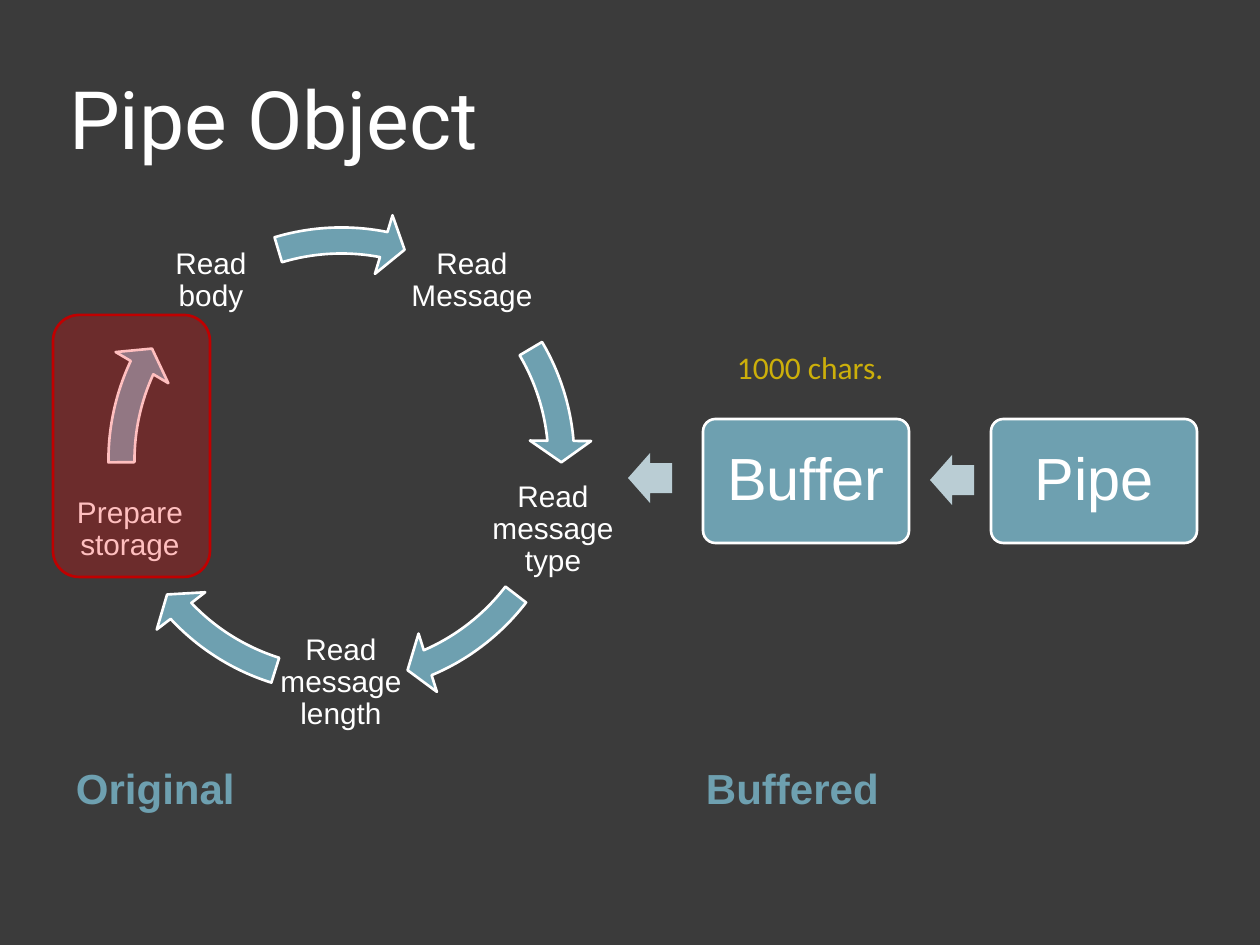
from dataclasses import dataclass

from lxml.etree import SubElement
from pptx import Presentation
from pptx.dml.color import RGBColor
from pptx.enum.shapes import MSO_SHAPE
from pptx.enum.text import MSO_ANCHOR, MSO_AUTO_SIZE, PP_ALIGN
from pptx.oxml.ns import qn
from pptx.util import Inches, Pt

PX_PER_INCH = 126


def px(n):
    return Inches(n / PX_PER_INCH)


@dataclass(frozen=True)
class Theme:
    background: str = "3B3B3B"
    text: str = "FFFFFF"
    accent: str = "6EA0B0"
    pale: str = "BACDD4"
    note: str = "CCAF0A"
    alert: str = "FF0000"
    alert_line: str = "C00000"
    title_font: str = "Roboto"
    body_font: str = "Arial"
    note_font: str = "Calibri"
    title_size: int = 46
    box_size: int = 34
    heading_size: int = 24
    note_size: int = 18
    label_size: int = 17
    line_width: float = 1.5


class SlideBuilder:
    def __init__(self, slide, theme):
        self.s = slide
        self.theme = theme
        fill = slide.background.fill
        fill.solid()
        fill.fore_color.rgb = RGBColor.from_string(theme.background)

    def set_text(self, sp, text, size, color, font, inset, align=PP_ALIGN.LEFT,
                 anchor=MSO_ANCHOR.MIDDLE, bold=False, wrap=True):
        tf = sp.text_frame
        tf.text = text
        tf.word_wrap = wrap
        tf.auto_size = MSO_AUTO_SIZE.NONE if wrap else MSO_AUTO_SIZE.SHAPE_TO_FIT_TEXT
        tf.vertical_anchor = anchor
        tf.margin_left = tf.margin_right = px(inset[0])
        tf.margin_top = tf.margin_bottom = px(inset[1])
        p = tf.paragraphs[0]
        p.alignment = align
        p.font.size = Pt(size)
        p.font.name = font
        p.font.bold = bold
        p.font.color.rgb = RGBColor.from_string(color)
        return p

    def placeholder(self, idx, box):
        sp = next(ph for ph in self.s.placeholders if ph.placeholder_format.idx == idx)
        sp.left, sp.top, sp.width, sp.height = map(px, box)
        return sp

    def title(self, text, box):
        t = self.theme
        self.set_text(self.placeholder(0, box), text, t.title_size, t.text,
                      t.title_font, (6, 6))

    def heading(self, idx, text, box):
        t = self.theme
        p = self.set_text(self.placeholder(idx, box), text, t.heading_size, t.accent,
                          t.body_font, (13, 6), anchor=MSO_ANCHOR.TOP, bold=True)
        p.space_before = Pt(5)

    def remove_empty_placeholders(self):
        for sp in list(self.s.placeholders):
            if not sp.text_frame.text:
                sp.element.getparent().remove(sp.element)

    def shape(self, kind, box, fill, line=None, adjustments=()):
        sp = self.s.shapes.add_shape(kind, *map(px, box))
        sp.shadow.inherit = False
        sp.fill.solid()
        sp.fill.fore_color.rgb = RGBColor.from_string(fill)
        if line:
            sp.line.color.rgb = RGBColor.from_string(line)
            sp.line.width = Pt(self.theme.line_width)
        else:
            sp.line.fill.background()
        for i, value in enumerate(adjustments):
            sp.adjustments[i] = value
        return sp

    def label(self, text, box):
        t = self.theme
        sp = self.s.shapes.add_textbox(*map(px, box))
        p = self.set_text(sp, text, t.label_size, t.text, t.body_font, (3, 3),
                          PP_ALIGN.CENTER)
        p.line_spacing = 0.9

    def cycle_arrow(self, box, tail, head):
        """Draw an arc arrow; angles are degrees clockwise from the right."""
        unit = 0.6  # adjustment value of one degree
        self.shape(MSO_SHAPE.CIRCULAR_ARROW, box, self.theme.accent, self.theme.text,
                   (0.052, 5.6 * unit, head * unit, tail * unit, 0.061))

    def box(self, text, box):
        t = self.theme
        sp = self.shape(MSO_SHAPE.ROUNDED_RECTANGLE, box, t.accent, t.text, (0.1,))
        p = self.set_text(sp, text, t.box_size, t.text, t.body_font, (18, 18),
                          PP_ALIGN.CENTER)
        p.line_spacing = 0.9

    def flow_arrow(self, left, top):
        sp = self.shape(MSO_SHAPE.RIGHT_ARROW, (left, top, 44, 50), self.theme.pale,
                        adjustments=(0.6, 0.5))
        sp.rotation = 180

    def note(self, text, box):
        t = self.theme
        sp = self.s.shapes.add_textbox(*map(px, box))
        self.set_text(sp, text, t.note_size, t.note, t.note_font, (13, 6),
                      anchor=MSO_ANCHOR.TOP, wrap=False)

    def highlight(self, box, opacity):
        sp = self.shape(MSO_SHAPE.ROUNDED_RECTANGLE, box, self.theme.alert,
                        self.theme.alert_line)
        color = sp.element.spPr.find(qn("a:solidFill")).find(qn("a:srgbClr"))
        SubElement(color, qn("a:alpha")).set("val", str(opacity * 1000))


def main():
    prs = Presentation()
    prs.slide_width, prs.slide_height = Inches(10), Inches(7.5)
    comparison = prs.slide_layouts[4]
    b = SlideBuilder(prs.slides.add_slide(comparison), Theme())

    b.title("Pipe Object", (63, 38, 1134, 158))
    b.heading(1, "Original", (63, 756, 557, 116))
    b.heading(3, "Buffered", (693, 756, 504, 116))
    b.remove_empty_placeholders()

    # Each step: text, left, top, then tail and head angle of the arrow after it
    steps = [
        ("Read Message", 405, 214, 329.45, 354.88),
        ("Read message type", 486, 463, 37.57, 66.9),
        ("Read message length", 274, 616, 107.5, 136.84),
        ("Prepare storage", 63, 463, 179.52, 204.96),
        ("Read body", 144, 214, 253.31, 281.09),
    ]
    for text, left, top, tail, head in steps:
        b.label(text, (left, top, 134, 134))
        b.cycle_arrow((91, 210, 501, 501), tail, head)

    for text, left in (("Buffer", 703), ("Pipe", 991)):
        b.box(text, (left, 419, 206, 124))
    b.flow_arrow(930, 455)
    b.note("1000 chars.", (724, 342, 174, 50))
    b.highlight((53, 315, 157, 262), 25)
    b.flow_arrow(628, 453)

    prs.save("out.pptx")


if __name__ == "__main__":
    main()
